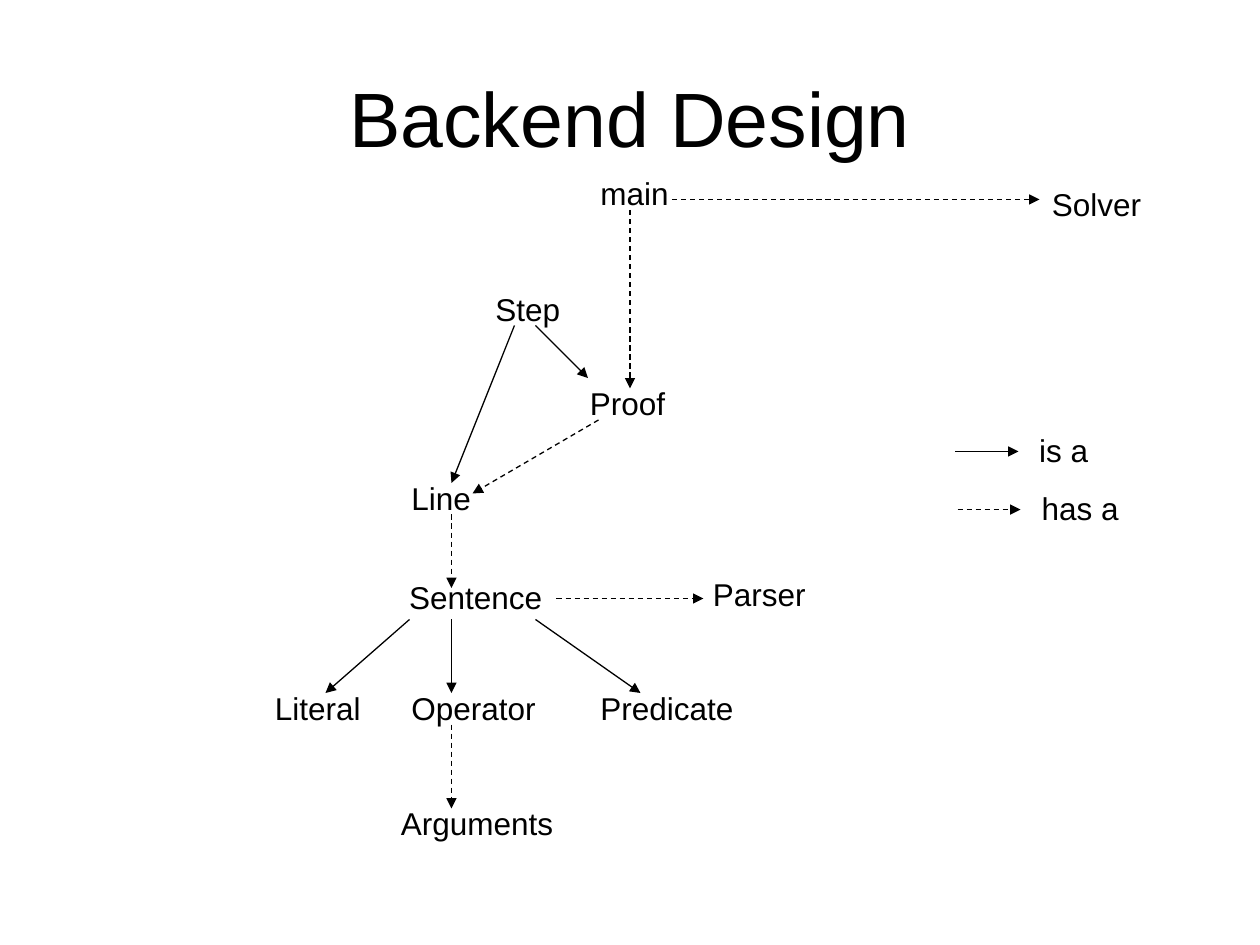
from pptx import Presentation
from pptx.dml.color import RGBColor
from pptx.enum.dml import MSO_LINE_DASH_STYLE as DASH
from pptx.enum.shapes import MSO_CONNECTOR as CONNECTOR
from pptx.enum.text import MSO_ANCHOR as ANCHOR, MSO_AUTO_SIZE as FIT, PP_ALIGN as ALIGN
from pptx.oxml.ns import qn
from pptx.util import Pt
from lxml.etree import SubElement

COLORS = {"ink": "000000", "paper": "FFFFFF"}
LABEL_HEIGHT = 29

# name: (left, top, width)
LABELS = {
    "main": (336, 96, 54),
    "Solver": (594, 102, 66.5),
    "Step": (276, 162, 52.5),
    "Proof": (330, 216, 58.5),
    "Line": (228, 270, 49),
    "Sentence": (226.7, 327, 91.5),
    "Parser": (400.3, 325.2, 68.5),
    "Literal": (150, 390, 64.5),
    "Operator": (228, 390, 86.5),
    "Predicate": (336, 390, 91.5),
    "Arguments": (222, 456, 102.5),
    "is a": (586.7, 242.6, 43.5),
    "has a": (588.1, 275.8, 59.5),
}

# (start x, start y, end x, end y)
IS_A = [
    (294, 186, 258, 276),  # Step to Line
    (306, 186, 336, 216),  # Step to Proof
    (234, 354, 186, 396),  # Sentence to Literal
    (258, 354, 258, 396),  # Sentence to Operator
    (306, 354, 366, 396),  # Sentence to Predicate
    (546, 258, 582, 258),  # legend
]
HAS_A = [
    (360, 120, 360, 222),  # main to Proof
    (384, 114, 594, 114),  # main to Solver
    (342, 240, 270, 282),  # Proof to Line
    (258, 294, 258, 336),  # Line to Sentence
    (318, 342, 402, 342),  # Sentence to Parser
    (258, 414, 258, 462),  # Operator to Arguments
    (547.2, 291.2, 583.2, 291.2),  # legend
]


def color(name):
    return RGBColor.from_string(COLORS[name])


def write(para, text, *, font="Arial", size=18, ink="ink", align=ALIGN.LEFT):
    para.alignment = align
    span = para.add_run()
    span.text = text
    span.font.name = font
    span.font.size = Pt(size)
    span.font.color.rgb = color(ink)


class Diagram:
    """Holds the line style and the slide being drawn."""

    def __init__(self, page, line_width=0.75):
        self.page = page
        self.line_width = line_width
        page.background.fill.solid()
        page.background.fill.fore_color.rgb = color("paper")

    def text(self, text, left, top, width, height, wrap=False, anchor=ANCHOR.TOP, **style):
        box = self.page.shapes.add_textbox(Pt(left), Pt(top), Pt(width), Pt(height))
        frame = box.text_frame
        frame.word_wrap = wrap
        frame.auto_size = FIT.NONE if wrap else FIT.SHAPE_TO_FIT_TEXT
        frame.vertical_anchor = anchor
        write(frame.paragraphs[0], text, **style)

    def title(self, text):
        self.text(text, 36, 21.6, 648, 90, wrap=True, anchor=ANCHOR.MIDDLE,
                  size=44, align=ALIGN.CENTER)

    def label(self, text, left, top, width):
        self.text(text, left, top, width, LABEL_HEIGHT)

    def arrow(self, *ends, dashed=False):
        arrow = self.page.shapes.add_connector(CONNECTOR.STRAIGHT, *map(Pt, ends))
        arrow.line.width = Pt(self.line_width)
        arrow.line.color.rgb = color("ink")
        if dashed:
            arrow.line.dash_style = DASH.DASH
        properties = arrow.element.spPr
        SubElement(properties.find(qn("a:ln")), qn("a:tailEnd"), type="triangle")
        SubElement(properties, qn("a:effectLst"))


def main():
    deck = Presentation()
    deck.slide_width, deck.slide_height = Pt(720), Pt(540)
    diagram = Diagram(deck.slides.add_slide(deck.slide_layouts[6]))
    diagram.title("Backend Design")
    for name, place in LABELS.items():
        diagram.label(name, *place)
    for ends in IS_A:
        diagram.arrow(*ends)
    for ends in HAS_A:
        diagram.arrow(*ends, dashed=True)
    deck.save("out.pptx")


if __name__ == "__main__":
    main()
